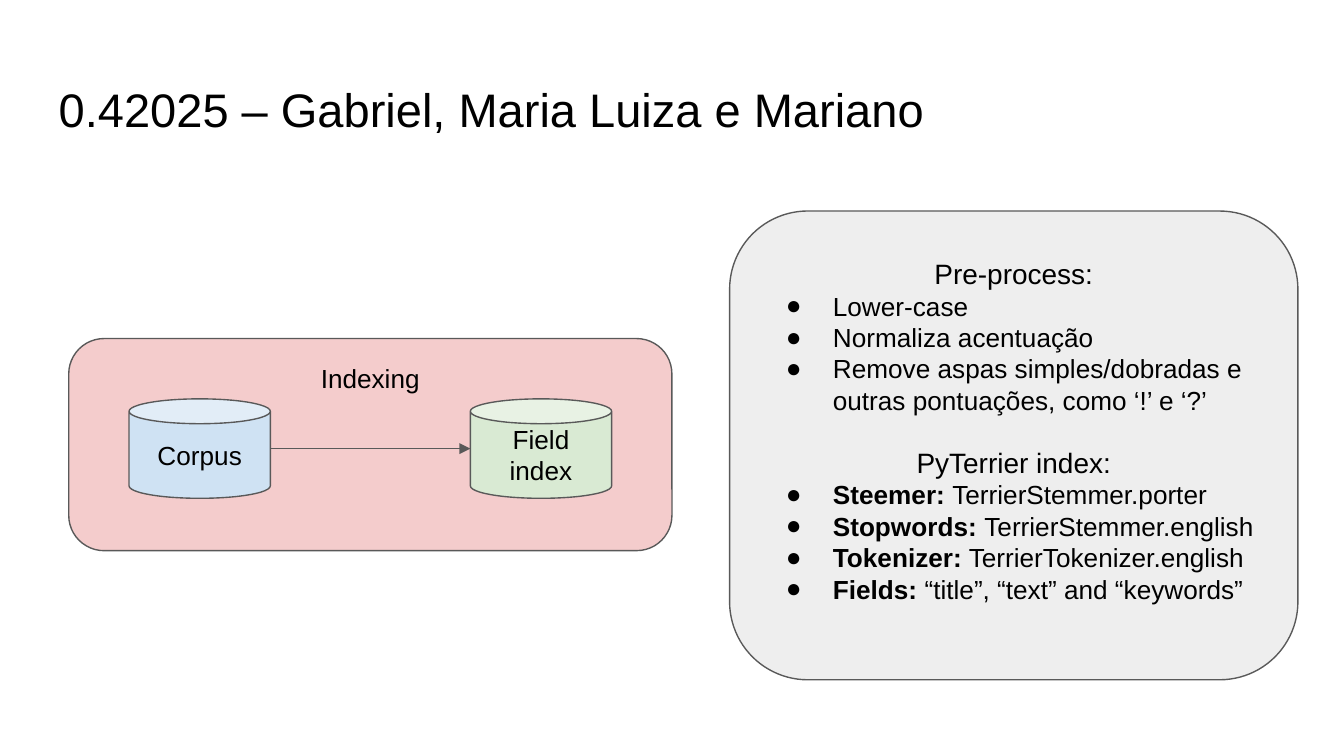
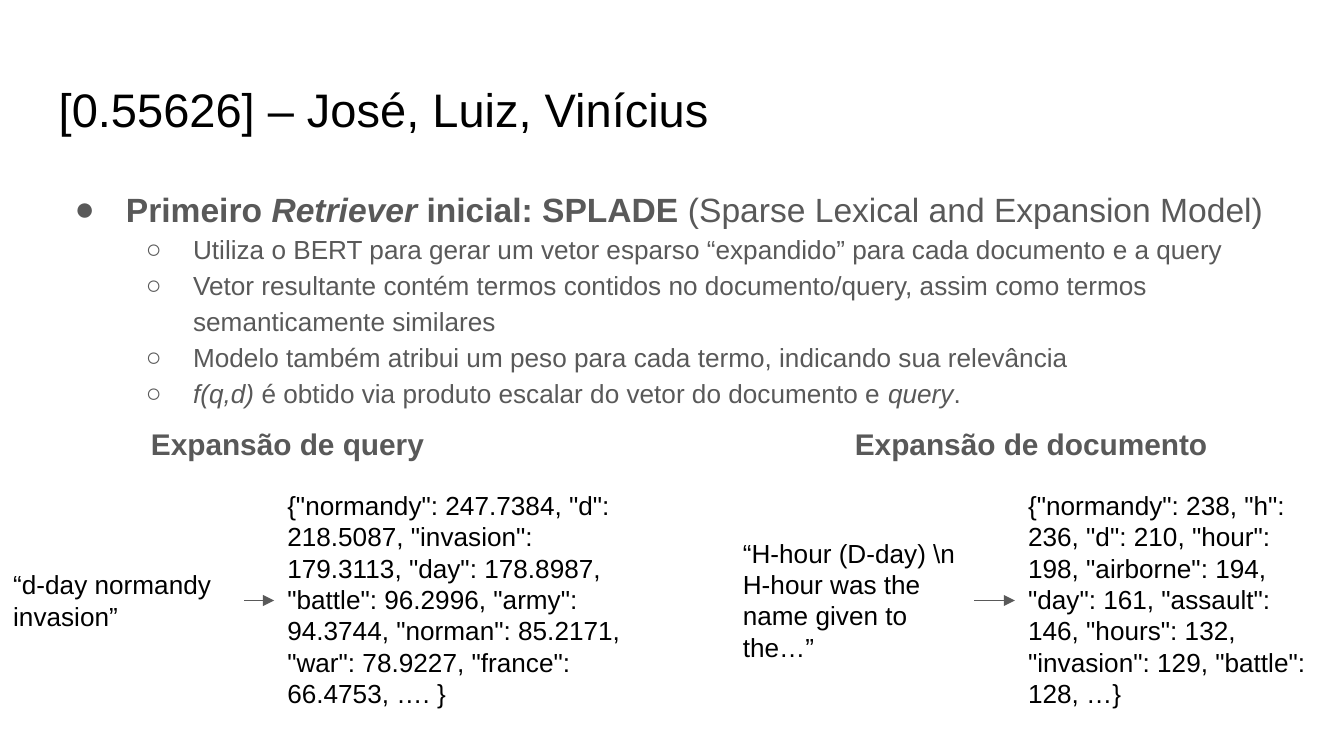
from lxml import etree
from pptx import Presentation
from pptx.dml.color import RGBColor
from pptx.enum.shapes import MSO_CONNECTOR, MSO_SHAPE
from pptx.enum.text import MSO_ANCHOR, MSO_AUTO_SIZE, PP_ALIGN
from pptx.oxml.ns import qn
from pptx.util import Cm, Pt

LEFT, CENTER = PP_ALIGN.LEFT, PP_ALIGN.CENTER
TOP, MIDDLE, BOTTOM = MSO_ANCHOR.TOP, MSO_ANCHOR.MIDDLE, MSO_ANCHOR.BOTTOM
ROUNDED, CAN = MSO_SHAPE.ROUNDED_RECTANGLE, MSO_SHAPE.CAN
NO_FIT = MSO_AUTO_SIZE.NONE
STRAIGHT = MSO_CONNECTOR.STRAIGHT

FONT = "Arial"
BLACK, GRAY = "000000", "595959"
PINK, BLUE, GREEN, SILVER = "F4CCCC", "CFE2F3", "D9EAD3", "EEEEEE"
INSET = 0.25
TITLE_BOX = (0.86, 1.24, 23.67, 1.6)

INDEXING_TITLE = "0.42025 – Gabriel, Maria Luiza e Mariano"
STORES = [("Corpus", BLUE, 2.44), ("Field index", GREEN, 8.89)]
PANEL_SECTIONS = [
    ("Pre-process:", [
        [("Lower-case", "")],
        [("Normaliza acentuação", "")],
        [("Remove aspas simples/dobradas e outras pontuações, como ‘!’ e ‘?’", "")],
    ]),
    ("PyTerrier index:", [
        [("Steemer: ", "b"), ("TerrierStemmer.porter", "")],
        [("Stopwords: ", "b"), ("TerrierStemmer.english", "")],
        [("Tokenizer:", "b"), (" TerrierTokenizer.english", "")],
        [("Fields: ", "b"), ("“title”, “text” and “keywords”", "")],
    ]),
]

SPLADE_TITLE = "[0.55626] – José, Luiz, Vinícius"
SPLADE_HEADLINE = [
    ("Primeiro ", "b"), ("Retriever ", "bi"), ("inicial: SPLADE ", "b"),
    ("(Sparse Lexical and Expansion Model)", ""),
]
SPLADE_POINTS = [
    [("Utiliza o BERT para gerar um vetor esparso “expandido” para cada documento e a query", "")],
    [("Vetor resultante contém termos contidos no documento/query, assim como termos "
      "semanticamente similares", "")],
    [("Modelo também atribui um peso para cada termo, indicando sua relevância", "")],
    [("f(q,d) ", "i"), ("é obtido via produto escalar do vetor do documento e ", ""),
     ("query", "i"), (".", "")],
]
EXPANSIONS = [
    {
        "heading": "Expansão de query", "heading_span": (1.98, 6.91),
        "source": "“d-day normandy invasion”", "source_span": (0, 4.62), "source_height": 1.7,
        "weights": '{"normandy": 247.7384, "d": 218.5087, "invasion": 179.3113, '
                   '"day": 178.8987, "battle": 96.2996, "army": 94.3744, '
                   '"norman": 85.2171, "war": 78.9227, "france": 66.4753, …. }',
        "weights_span": (5.18, 6.91),
    },
    {
        "heading": "Expansão de documento", "heading_span": (15.54, 7.9),
        "source": "“H-hour (D-day) \\n H-hour was the name given to the…”",
        "source_span": (13.79, 4.62), "source_height": 2.9,
        "weights": '{"normandy": 238, "h": 236, "d": 210, "hour": 198, '
                   '"airborne": 194, "day": 161, "assault": 146, "hours": 132, '
                   '"invasion": 129, "battle": 128, …}',
        "weights_span": (19.18, 5.99),
    },
]
EXPANSION_MIDDLE, WEIGHTS_HEIGHT = 11.35, 4.7


def color(value):
    return RGBColor.from_string(value)


def text(content, **style):
    runs = [(content, "")] if isinstance(content, str) else content
    return {"runs": runs, **style}


def set_bullet(paragraph, symbol, indent, hanging, tint):
    properties = paragraph._p.get_or_add_pPr()
    properties.set("marL", str(Cm(indent)))
    properties.set("indent", str(-Cm(hanging)))
    bullet_color = etree.SubElement(properties, qn("a:buClr"))
    etree.SubElement(bullet_color, qn("a:srgbClr"), val=tint)
    etree.SubElement(properties, qn("a:buFont"), typeface=FONT)
    etree.SubElement(properties, qn("a:buChar"), char=symbol)


def format_paragraph(paragraph, runs, size=14, tint=BLACK, align=LEFT, level=0,
                     spacing=1.0, before=0, bullet=None, indent=1.27, hanging=0.89):
    paragraph.alignment = align
    paragraph.level = level
    paragraph.line_spacing = spacing
    paragraph.space_before = Pt(before)
    paragraph.space_after = Pt(0)
    if bullet:
        set_bullet(paragraph, bullet, indent, hanging, tint)
    for content, marks in runs:
        run = paragraph.add_run()
        run.text = content
        run.font.name = FONT
        run.font.size = Pt(size)
        run.font.color.rgb = color(tint)
        run.font.bold = "b" in marks
        run.font.italic = "i" in marks


def write(shape, paragraphs, anchor=TOP, bottom=INSET):
    frame = shape.text_frame
    frame.word_wrap = True
    frame.auto_size = NO_FIT
    frame.vertical_anchor = anchor
    frame.margin_left = frame.margin_right = frame.margin_top = Cm(INSET)
    frame.margin_bottom = Cm(bottom)
    for number, content in enumerate(paragraphs):
        paragraph = frame.add_paragraph() if number else frame.paragraphs[0]
        format_paragraph(paragraph, **content)


def add_text(shapes, box, paragraphs):
    write(shapes.add_textbox(*map(Cm, box)), paragraphs)


def add_block(shapes, kind, box, fill, paragraphs, **frame_format):
    shape = shapes.add_shape(kind, *map(Cm, box))
    shape.shadow.inherit = False
    shape.fill.solid()
    shape.fill.fore_color.rgb = color(fill)
    shape.line.color.rgb = color(GRAY)
    shape.line.width = Pt(0.75)
    write(shape, paragraphs, **frame_format)


def add_arrow(shapes, start, end, height):
    arrow = shapes.add_connector(STRAIGHT, Cm(start), Cm(height), Cm(end), Cm(height))
    arrow.line.color.rgb = color(GRAY)
    arrow.line.width = Pt(0.75)
    etree.SubElement(arrow.line._get_or_add_ln(), qn("a:tailEnd"), type="triangle")
    etree.SubElement(arrow._element.spPr, qn("a:effectLst"))


def add_slide(presentation, title):
    slide = presentation.slides.add_slide(presentation.slide_layouts[5])
    placeholder = slide.shapes.title
    placeholder.left, placeholder.top, placeholder.width, placeholder.height = map(Cm, TITLE_BOX)
    write(placeholder, [text(title, size=25.2)], anchor=BOTTOM)
    return slide.shapes


def build_indexing(presentation):
    shapes = add_slide(presentation, INDEXING_TITLE)
    diagram = shapes.add_group_shape().shapes
    add_block(diagram, ROUNDED, (1.3, 6.4, 11.4, 4.01), PINK, [text("Indexing", align=CENTER)])
    top, width, height = 7.54, 2.67, 1.88
    for label, fill, left in STORES:
        add_block(diagram, CAN, (left, top, width, height), fill,
                  [text(label, align=CENTER)], anchor=MIDDLE)
    add_arrow(diagram, STORES[0][2] + width, STORES[1][2], top + height / 2)

    paragraphs = []
    for heading, items in PANEL_SECTIONS:
        gap = 16 if paragraphs else 0
        paragraphs.append(text(heading, size=15, align=CENTER, before=gap))
        paragraphs += [text(item, bullet="●") for item in items]
    add_block(shapes, ROUNDED, (13.79, 3.99, 10.74, 8.86), SILVER, paragraphs,
              anchor=MIDDLE, bottom=0.82)


def build_splade(presentation):
    shapes = add_slide(presentation, SPLADE_TITLE)
    headline = text(SPLADE_HEADLINE, size=18, tint=GRAY, spacing=1.15, bullet="●", hanging=0.97)
    points = [text(point, tint=GRAY, spacing=1.15, level=1, bullet="○", indent=2.54)
              for point in SPLADE_POINTS]
    add_text(shapes, (0.86, 3.2, 23.67, 4.78), [headline] + points)

    for expansion in EXPANSIONS:
        left, width = expansion["heading_span"]
        add_text(shapes, (left, 7.8, width, 1.19),
                 [text([(expansion["heading"], "b")], size=16, tint=GRAY, align=CENTER)])
        parts = [("source", expansion["source_height"]), ("weights", WEIGHTS_HEIGHT)]
        for part, height in parts:
            left, width = expansion[part + "_span"]
            add_text(shapes, (left, EXPANSION_MIDDLE - height / 2, width, height),
                     [text(expansion[part])])
        add_arrow(shapes, sum(expansion["source_span"]), expansion["weights_span"][0],
                  EXPANSION_MIDDLE)


def main():
    presentation = Presentation()
    presentation.slide_width, presentation.slide_height = Cm(25.4), Cm(14.29)
    build_indexing(presentation)
    build_splade(presentation)
    presentation.save("out.pptx")


if __name__ == "__main__":
    main()
